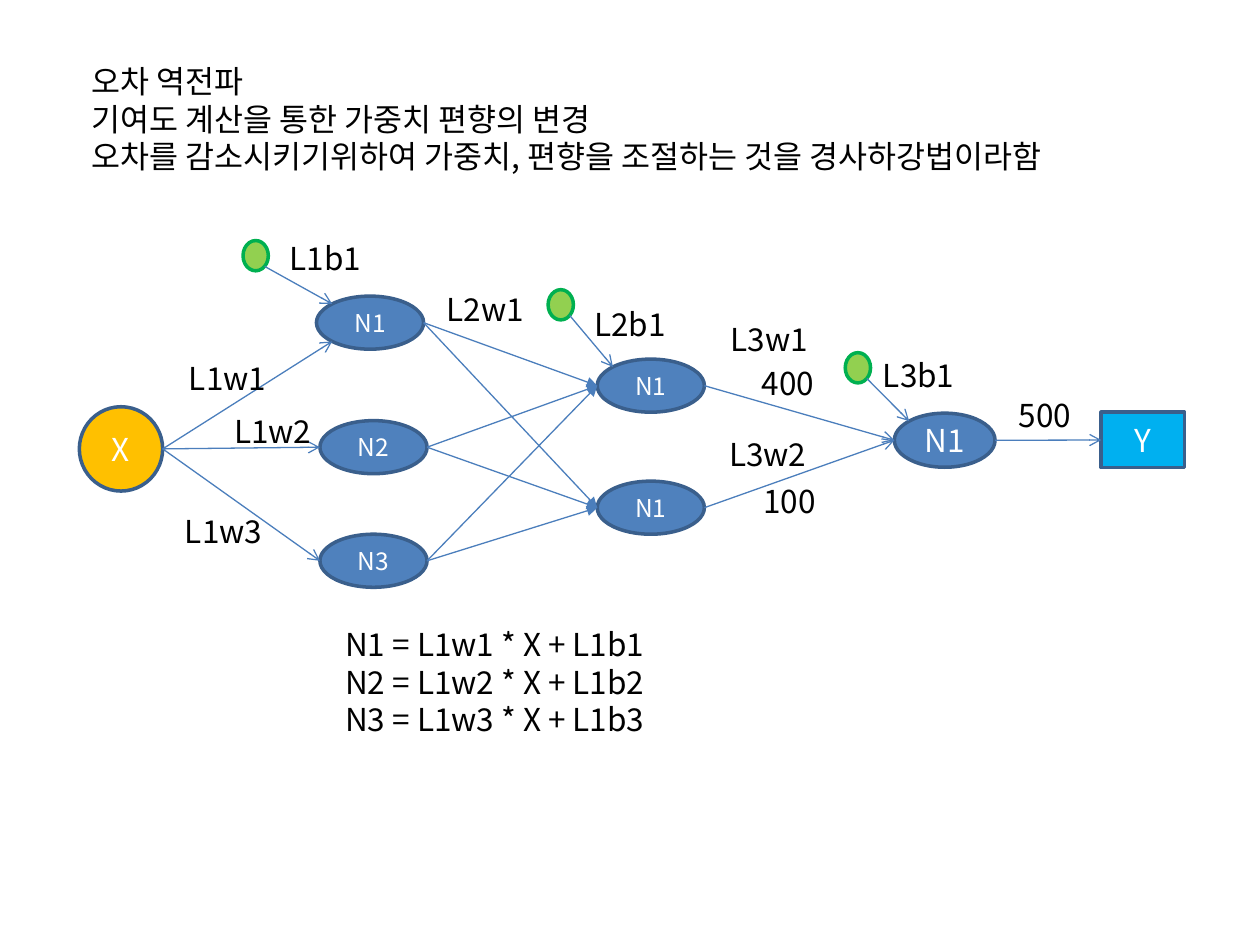
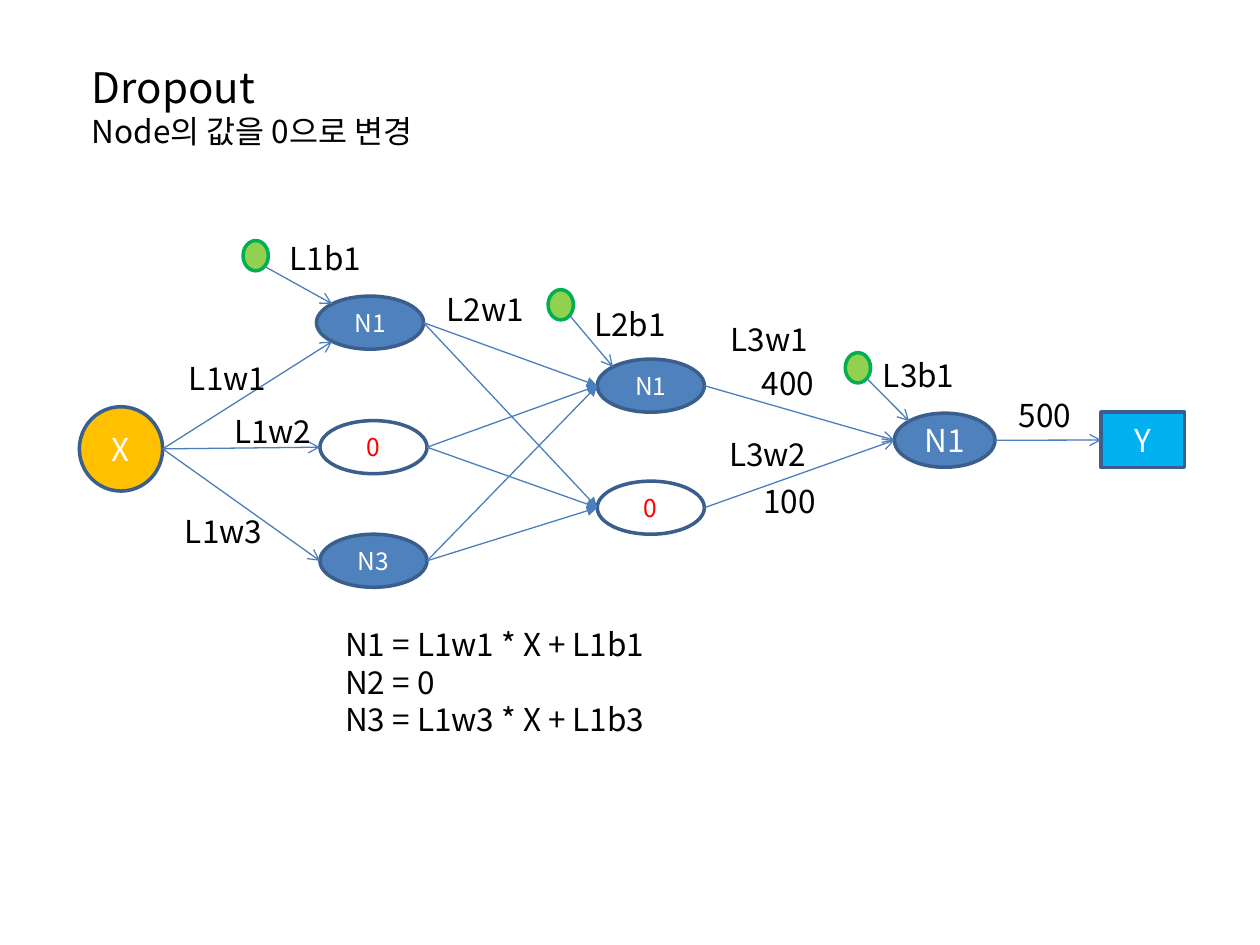
from itertools import product
from math import cos, radians, sin

from lxml.etree import SubElement
from pptx import Presentation
from pptx.dml.color import RGBColor
from pptx.enum.shapes import MSO_CONNECTOR as CONN, MSO_SHAPE as SHAPE
from pptx.enum.text import MSO_ANCHOR as ANCHOR, MSO_AUTO_SIZE as FIT, PP_ALIGN as ALIGN
from pptx.oxml.ns import qn
from pptx.util import Cm, Pt

FONT = "Noto Sans CJK KR"
COLORS = {
    "text": "000000", "light": "FFFFFF", "dropped": "FF0000",
    "input": "FFC000", "neuron": "4F81BD", "output": "00B0F0", "bias": "92D050",
    "outline": "3A5F8C", "bias_outline": "00B050", "link": "4B7EBC",
}
TITLE_ONLY = 5

# Boxes on the slide: left, top, width, height in cm
TITLE_BOX = (1.6, 1.12, 22.28, 2.57)
NETWORK_BOX = (1.6, 4.7, 22.28, 7.2)
EQUATION_BOX = (6.71, 12.47, 7.8, 3.33)

# Parts of the network, relative to its box, in cm
NEURON_SIZE = (2.16, 1.07)
BIAS_SIZE = (0.51, 0.61)
LABEL_SIZE = (2.08, 1.02)
HIDDEN = {
    "L1N1": (4.78, 1.27), "L1N2": (4.85, 3.78), "L1N3": (4.85, 6.07),
    "L2N1": (10.44, 2.54), "L2N2": (10.44, 5.0),
}
HIDDEN_TEXT = {"L1N1": "N1", "L1N2": "N2", "L1N3": "N3", "L2N1": "N1", "L2N2": "N1"}
BIASES = {"L1N1": (3.3, 0.15), "L2N1": (9.45, 1.14), "out": (15.44, 2.41)}
LABELS = {
    "L1b1": (3.99, 0), "L1w1": (1.96, 2.41), "L1w2": (2.87, 3.48), "L1w3": (1.88, 5.49),
    "L2w1": (7.16, 1.02), "L2b1": (10.13, 1.32),
    "L3w1": (12.88, 1.62), "400": (13.51, 2.51), "L3w2": (12.85, 3.94), "100": (13.54, 4.9),
    "L3b1": (15.95, 2.36), "500": (18.69, 3.15),
}

# Directions on a node's outline, clockwise from the right
RIGHT, LOWER_RIGHT, LOWER_LEFT, LEFT, UPPER_LEFT = 0, 45, 135, 180, 225


def rgb(name):
    return RGBColor.from_string(COLORS[name])


def add_text(tf, lines, color="text", align=ALIGN.LEFT):
    """Write (text, size) lines, one paragraph each."""
    tf.word_wrap = True
    for i, (text, size) in enumerate(lines):
        p = tf.paragraphs[0] if i == 0 else tf.add_paragraph()
        p.alignment = align
        p.line_spacing = Pt(size * 1.2)
        r = p.add_run()
        r.text = text
        r.font.name = FONT
        r.font.size = Pt(size)
        r.font.color.rgb = rgb(color)
        SubElement(r.font._element, qn("a:ea")).set("typeface", FONT)


def add_text_box(slide, box, lines):
    tf = slide.shapes.add_textbox(*map(Cm, box)).text_frame
    add_text(tf, lines)


def add_title(slide, box, lines):
    title = slide.shapes.title
    title.left, title.top, title.width, title.height = map(Cm, box)
    tf = title.text_frame
    tf.auto_size = FIT.NONE
    tf.vertical_anchor = ANCHOR.TOP
    add_text(tf, lines)


def add_node(slide, box, fill, text="", size=18, shape=SHAPE.OVAL,
             outline="outline", color="light"):
    sp = slide.shapes.add_shape(shape, *map(Cm, box))
    sp.shadow.inherit = False
    if fill:
        sp.fill.solid()
        sp.fill.fore_color.rgb = rgb(fill)
    else:
        sp.fill.background()
    sp.line.color.rgb = rgb(outline)
    sp.line.width = Pt(2)
    if text:
        tf = sp.text_frame
        tf.margin_left = tf.margin_right = 0
        tf.vertical_anchor = ANCHOR.MIDDLE
        add_text(tf, [(text, size)], color, ALIGN.CENTER)
    return sp


def edge_point(sp, angle):
    """Point on the ellipse inscribed in the shape, at an angle in degrees."""
    a = radians(angle)
    return (round(sp.left + sp.width * (1 + cos(a)) / 2),
            round(sp.top + sp.height * (1 + sin(a)) / 2))


def add_link(slide, source, target, leave=RIGHT, enter=LEFT, head="arrow"):
    link = slide.shapes.add_connector(
        CONN.STRAIGHT, *edge_point(source, leave), *edge_point(target, enter))
    link.line.color.rgb = rgb("link")
    link.line.width = Pt(0.75)
    SubElement(link.line._get_or_add_ln(), qn("a:tailEnd")).set("type", head)
    SubElement(link._element.spPr, qn("a:effectLst"))


def add_network(slide, box, dropped):
    """Draw the network; the hidden neurons in dropped are emptied and show 0."""
    left, top = box[:2]

    def place(pos, size):
        return (left + pos[0], top + pos[1], *size)

    nodes = {
        "in": add_node(slide, place((0, 3.5), (1.68, 1.7)), "input", "X"),
        "out": add_node(slide, place((16.43, 3.63), (2.03, 1.09)), "neuron", "N1"),
        "Y": add_node(slide, place((20.6, 3.61), (1.68, 1.12)), "output", "Y",
                      shape=SHAPE.RECTANGLE),
    }
    for name, pos in HIDDEN.items():
        spot = place(pos, NEURON_SIZE)
        if name in dropped:
            nodes[name] = add_node(slide, spot, None, "0", 14, color="dropped")
        else:
            nodes[name] = add_node(slide, spot, "neuron", HIDDEN_TEXT[name], 14)

    layer1 = [n for n in HIDDEN if n.startswith("L1")]
    layer2 = [n for n in HIDDEN if n.startswith("L2")]
    for name in layer1:
        enter = LOWER_LEFT if name == "L1N1" else LEFT
        add_link(slide, nodes["in"], nodes[name], enter=enter)
    for source, target in product(layer1, layer2):
        add_link(slide, nodes[source], nodes[target], head="triangle")
    for name in layer2:
        add_link(slide, nodes[name], nodes["out"])
    add_link(slide, nodes["out"], nodes["Y"])

    for target, pos in BIASES.items():
        bias = add_node(slide, place(pos, BIAS_SIZE), "bias", outline="bias_outline")
        add_link(slide, bias, nodes[target], LOWER_RIGHT, UPPER_LEFT)
    for text, pos in LABELS.items():
        add_text_box(slide, place(pos, LABEL_SIZE), [(text, 18)])


def add_network_slide(prs, title, equations, dropped=()):
    slide = prs.slides.add_slide(prs.slide_layouts[TITLE_ONLY])
    add_title(slide, TITLE_BOX, title)
    add_network(slide, NETWORK_BOX, dropped)
    add_text_box(slide, EQUATION_BOX, [(text, 18) for text in equations])


def main():
    prs = Presentation()
    prs.slide_width, prs.slide_height = Cm(25.4), Cm(19.05)
    equations = [f"N{i} = L1w{i} * X + L1b{i}" for i in (1, 2, 3)]
    add_network_slide(
        prs,
        [("오차 역전파", 18),
         ("기여도 계산을 통한 가중치 편향의 변경", 18),
         ("오차를 감소시키기위하여 가중치, 편향을 조절하는 것을 경사하강법이라함", 18)],
        equations)
    add_network_slide(
        prs,
        [("Dropout", 24), ("Node의 값을 0으로 변경", 18)],
        [equations[0], "N2 = 0", equations[2]],
        dropped=("L1N2", "L2N2"))
    prs.save("out.pptx")


if __name__ == "__main__":
    main()
